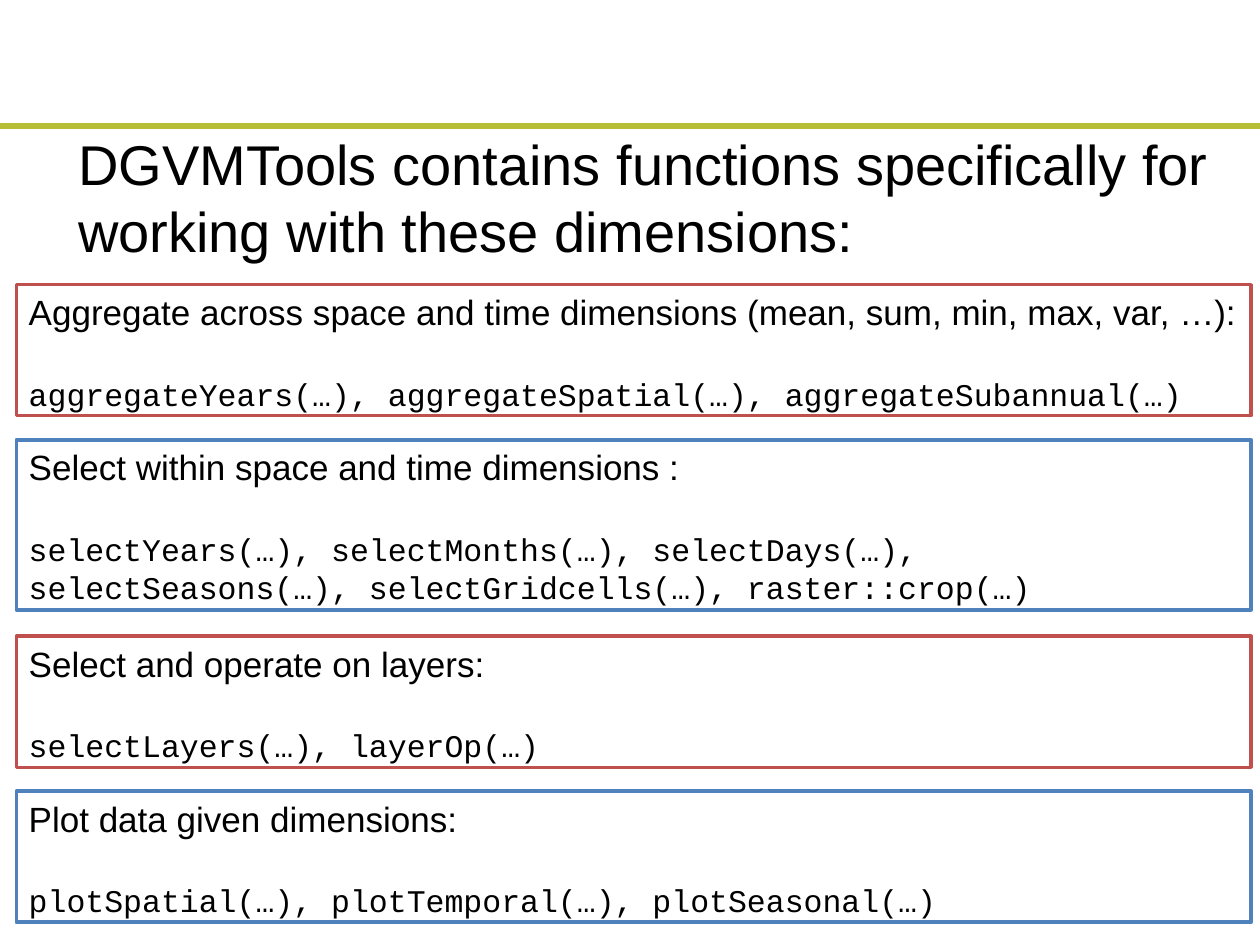
from lxml.etree import SubElement
from pptx import Presentation
from pptx.dml.color import RGBColor
from pptx.enum.shapes import MSO_CONNECTOR, MSO_SHAPE
from pptx.enum.text import MSO_ANCHOR, PP_ALIGN
from pptx.oxml.ns import qn
from pptx.util import Inches, Pt

COLORS = {"rule": "B7BD34", "red": "C0504D", "blue": "4F81BD", "text": "000000"}

TITLE = "DGVMTools contains functions specifically for working with these dimensions:"

# Top, height, outline colour, heading, functions
FUNCTION_GROUPS = [
    (2.26, 1.04, "red",
     "Aggregate across space and time dimensions (mean, sum, min, max, var, …):",
     "aggregateYears(…), aggregateSpatial(…), aggregateSubannual(…)"),
    (3.49, 1.35, "blue",
     "Select within space and time dimensions :",
     "selectYears(…), selectMonths(…), selectDays(…), "
     "selectSeasons(…), selectGridcells(…), raster::crop(…)"),
    (5.05, 1.04, "red",
     "Select and operate on layers:",
     "selectLayers(…), layerOp(…)"),
    (6.28, 1.04, "blue",
     "Plot data given dimensions:",
     "plotSpatial(…), plotTemporal(…), plotSeasonal(…)"),
]


def color(name):
    return RGBColor.from_string(COLORS[name])


def write(paragraph, text, size, font="Arial"):
    paragraph.text = text
    paragraph.alignment = PP_ALIGN.LEFT
    paragraph.font.name = font
    paragraph.font.size = Pt(size)
    paragraph.font.color.rgb = color("text")


def add_rule(slide):
    rule = slide.shapes.add_connector(
        MSO_CONNECTOR.STRAIGHT, Inches(-0.23), Inches(1), Inches(10.21), Inches(1))
    rule.line.color.rgb = color("rule")
    rule.line.width = Pt(4)
    SubElement(rule._element.spPr, qn("a:effectLst"))


def set_title(slide):
    title = slide.shapes.title
    title.left, title.top = Inches(0.52), Inches(0.98)
    title.width, title.height = Inches(9.87), Inches(1.18)
    frame = title.text_frame
    frame.word_wrap = True
    frame.vertical_anchor = MSO_ANCHOR.TOP
    write(frame.paragraphs[0], TITLE, 32)


def add_function_group(slide, top, height, outline, heading, functions):
    box = slide.shapes.add_shape(
        MSO_SHAPE.RECTANGLE, Inches(0.13), Inches(top), Inches(9.8), Inches(height))
    box.shadow.inherit = False
    box.fill.background()
    box.line.color.rgb = color(outline)
    box.line.width = Pt(2)
    frame = box.text_frame
    frame.word_wrap = True
    frame.vertical_anchor = MSO_ANCHOR.TOP
    write(frame.paragraphs[0], heading, 20)
    function_list = frame.add_paragraph()
    write(function_list, functions, 18, "Courier New")
    function_list.space_before = Pt(24)


def main():
    prs = Presentation()
    prs.slide_width, prs.slide_height = Inches(10), Inches(7.5)
    slide = prs.slides.add_slide(prs.slide_layouts[5])

    # Header
    add_rule(slide)
    set_title(slide)

    # Boxes of functions
    for group in FUNCTION_GROUPS:
        add_function_group(slide, *group)

    prs.save("out.pptx")


if __name__ == "__main__":
    main()
